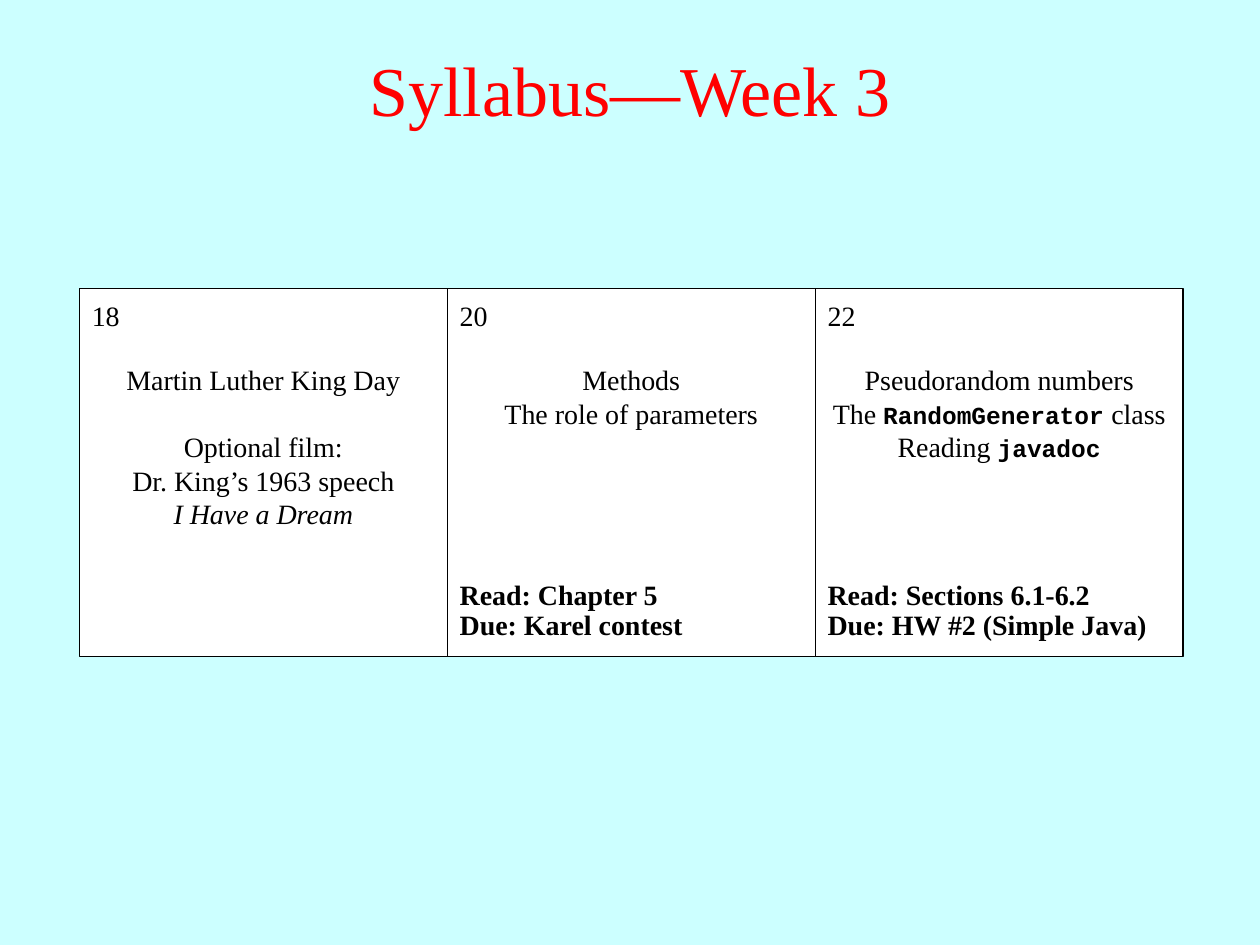
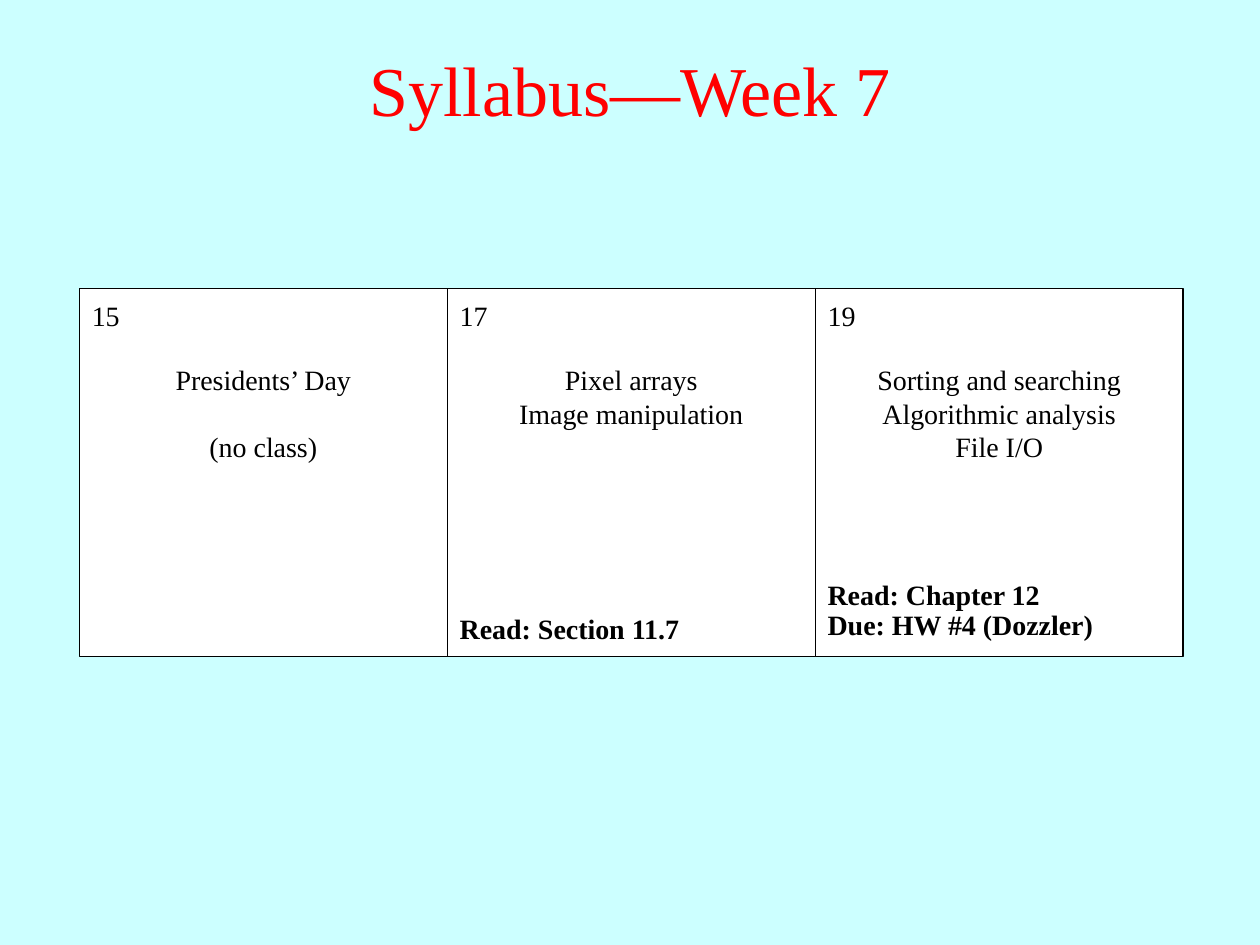
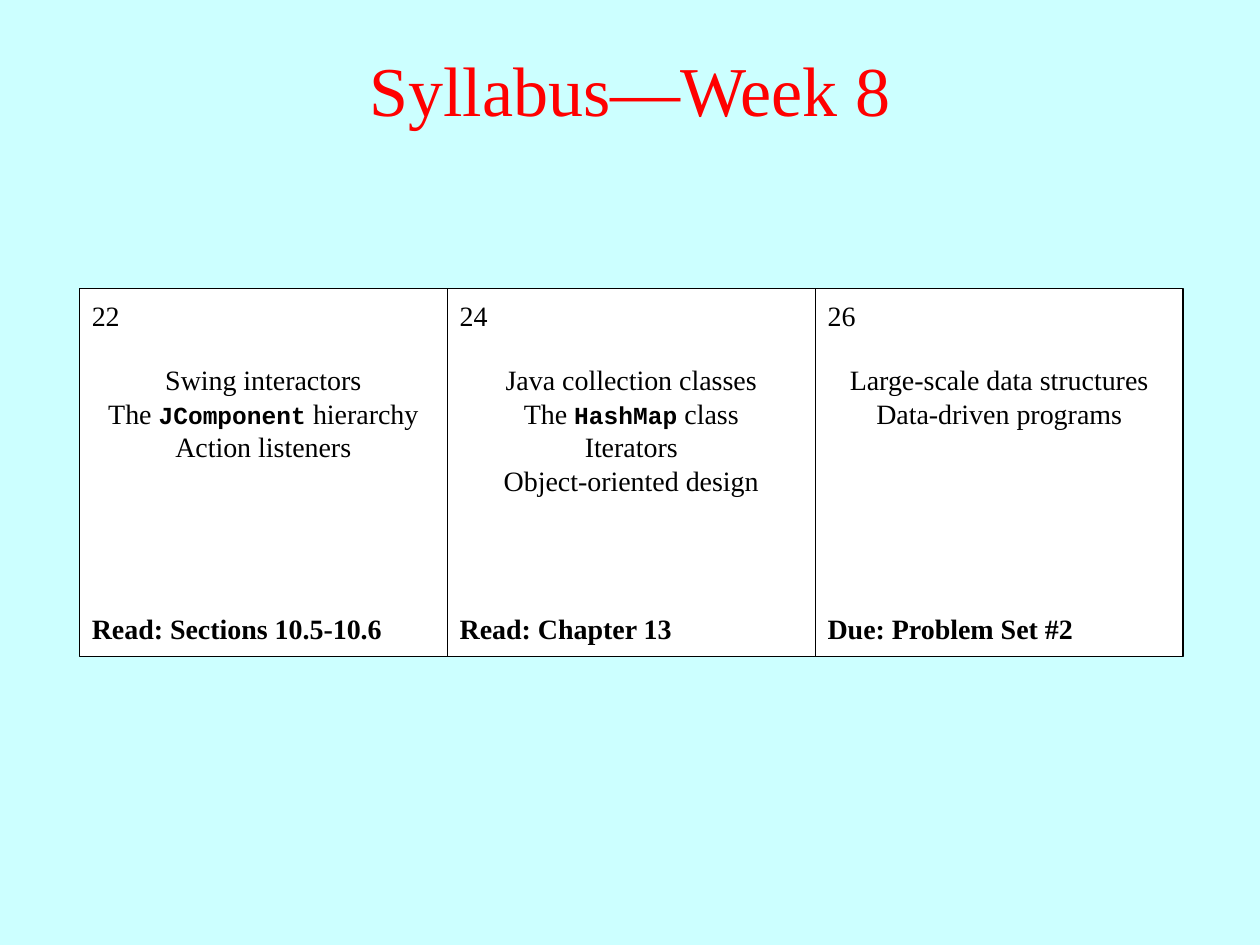
import pptx
import pptx.dml.color
import pptx.enum.shapes
import pptx.enum.text
import pptx.util

Inches = pptx.util.Inches
Pt = pptx.util.Pt
ALIGN = pptx.enum.text.PP_ALIGN
ANCHOR = pptx.enum.text.MSO_ANCHOR

COLORS = {"page": "CCFFFF", "title": "FF0000", "cell": "FFFFFF", "ink": "000000"}
SERIF = "Times New Roman"
CODE = {"font": "Courier New", "size": 14, "bold": True}
ITALIC = {"italic": True}

CELL_SIZE = 2.92
GRID_LEFT = 0.63
GRID_TOP = 2.29
BLOCK_GAP = 19

WEEKS = [
    (3, [
        ("18", [["Martin Luther King Day"],
                ["Optional film:", "Dr. King’s 1963 speech", [("I Have a Dream", ITALIC)]]], []),
        ("20", [["Methods", "The role of parameters"]],
         ["Read: Chapter 5", "Due: Karel contest"]),
        ("22", [["Pseudorandom numbers",
                 [("The ", {}), ("RandomGenerator", CODE), (" class", {})],
                 [("Reading ", {}), ("javadoc", CODE)]]],
         ["Read: Sections 6.1-6.2", "Due: HW #2 (Simple Java)"]),
    ]),
    (7, [
        ("15", [["Presidents’ Day"], ["(no class)"]], []),
        ("17", [["Pixel arrays", "Image manipulation"]], ["Read: Section 11.7"]),
        ("19", [["Sorting and searching", "Algorithmic analysis", "File I/O"]],
         ["Read: Chapter 12", "Due: HW #4 (Dozzler)"]),
    ]),
    (8, [
        ("22", [["Swing interactors",
                 [("The ", {}), ("JComponent", CODE), (" hierarchy", {})],
                 "Action listeners"]],
         ["Read: Sections 10.5-10.6"]),
        ("24", [["Java collection classes",
                 [("The ", {}), ("HashMap", CODE), (" class", {})],
                 "Iterators", "Object-oriented design"]],
         ["Read: Chapter 13"]),
        ("26", [["Large-scale data structures", "Data-driven programs"]],
         ["Due: Problem Set #2"]),
    ]),
]


def rgb(name):
    return pptx.dml.color.RGBColor.from_string(COLORS[name])


def add_span(para, text, font=SERIF, size=16, color="ink", bold=False, italic=False):
    span = para.add_run()
    span.text = text
    span.font.name = font
    span.font.size = Pt(size)
    span.font.color.rgb = rgb(color)
    span.font.bold = bold
    span.font.italic = italic


def add_text(shapes, left, top, width, height, blocks, align=ALIGN.LEFT,
             anchor=ANCHOR.TOP, line_spacing=None, **style):
    box = shapes.add_textbox(Inches(left), Inches(top), Inches(width), Inches(height))
    frame = box.text_frame
    frame.word_wrap = True
    frame.vertical_anchor = anchor
    para = None
    for block in blocks:
        for index, line in enumerate(block):
            starts_later_block = para is not None and index == 0
            para = frame.paragraphs[0] if para is None else frame.add_paragraph()
            para.alignment = align
            para.line_spacing = line_spacing
            if starts_later_block:
                para.space_before = Pt(BLOCK_GAP)
            spans = [(line, {})] if isinstance(line, str) else line
            for text, change in spans:
                add_span(para, text, **{**style, **change})


def add_title(page, week):
    add_text(page.shapes, 0, 0.08, 10, 1.25, [[f"Syllabus—Week {week}"]],
             align=ALIGN.CENTER, anchor=ANCHOR.MIDDLE, size=40, color="title")


def add_day(page, left, top, date, topics, tasks):
    shapes = page.shapes.add_group_shape().shapes
    cell = shapes.add_shape(pptx.enum.shapes.MSO_SHAPE.RECTANGLE, Inches(left),
                            Inches(top), Inches(CELL_SIZE), Inches(CELL_SIZE))
    cell.shadow.inherit = False
    cell.fill.solid()
    cell.fill.fore_color.rgb = rgb("cell")
    cell.line.color.rgb = rgb("ink")
    cell.line.width = Pt(0.75)

    add_text(shapes, left, top + 0.03, CELL_SIZE, 0.37, [[date]])
    line_count = sum(map(len, topics)) + len(topics) - 1
    add_text(shapes, left, top + 0.54, CELL_SIZE, 0.1 + 0.27 * line_count, topics,
             align=ALIGN.CENTER)
    if tasks:
        height = 0.58 if len(tasks) > 1 else 0.61
        add_text(shapes, left, top + 2.27, CELL_SIZE, height, [tasks],
                 anchor=ANCHOR.BOTTOM, line_spacing=0.9, bold=True)


def add_week(deck, week, days):
    page = deck.slides.add_slide(deck.slide_layouts[6])
    page.background.fill.solid()
    page.background.fill.fore_color.rgb = rgb("page")
    add_title(page, week)
    for column, day in enumerate(days):
        add_day(page, GRID_LEFT + column * CELL_SIZE, GRID_TOP, *day)


def main():
    deck = pptx.Presentation()
    deck.slide_width = Inches(10)
    deck.slide_height = Inches(7.5)
    for week, days in WEEKS:
        add_week(deck, week, days)
    deck.save("out.pptx")


if __name__ == "__main__":
    main()
